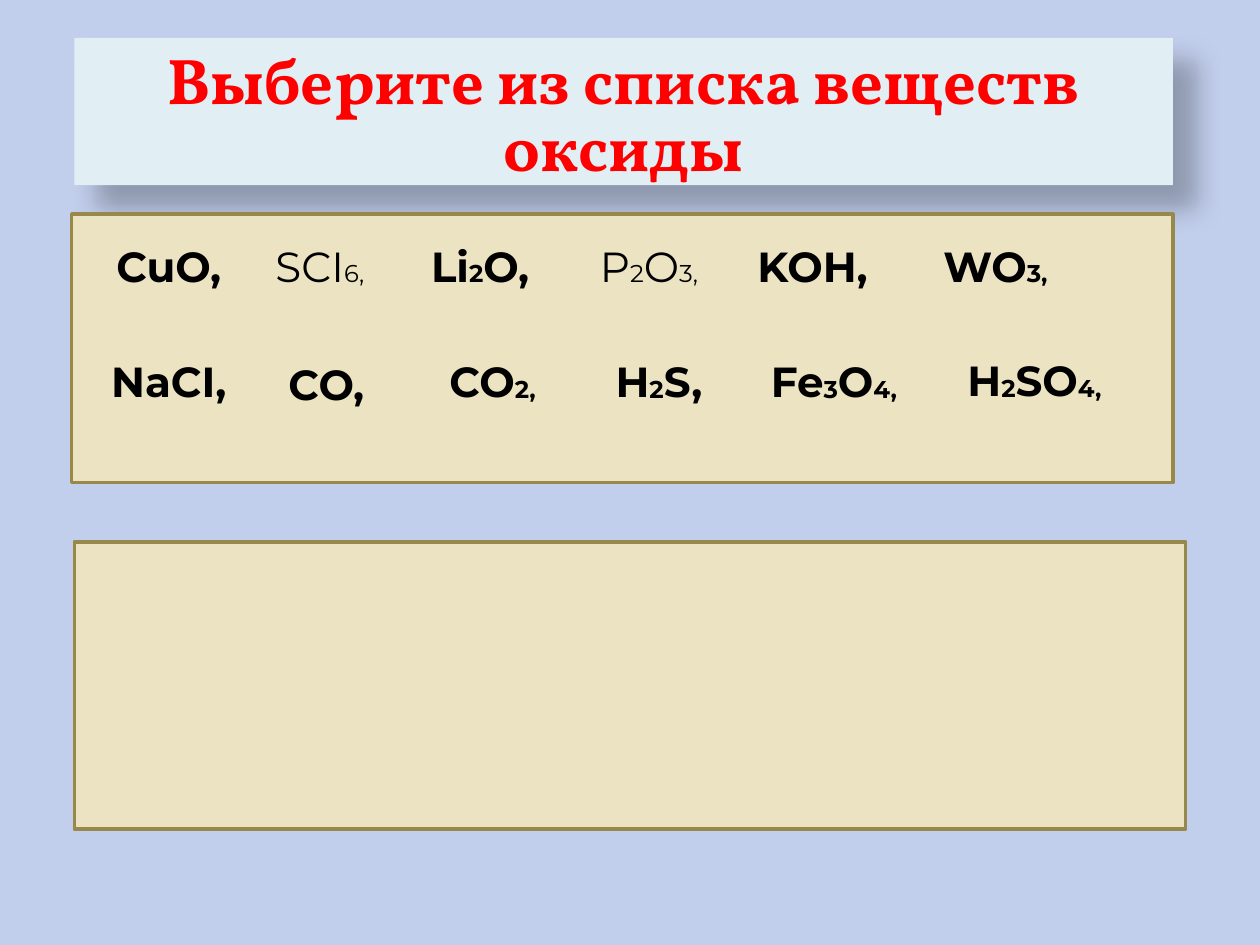
import pptx
import pptx.dml.color
import pptx.enum.shapes
import pptx.enum.text
import pptx.oxml
import pptx.oxml.ns
import pptx.util

Pt = pptx.util.Pt
RGBColor = pptx.dml.color.RGBColor
ALIGN = pptx.enum.text.PP_ALIGN
ANCHOR = pptx.enum.text.MSO_ANCHOR

BACKGROUND = RGBColor(0xC1, 0xCE, 0xEC)
TITLE_FILL = RGBColor(0xE1, 0xEF, 0xF4)
RED = RGBColor(0xFF, 0x00, 0x00)
BLACK = RGBColor(0x00, 0x00, 0x00)
SAND = RGBColor(0xEB, 0xE3, 0xC2)
OLIVE = RGBColor(0x98, 0x89, 0x4B)

# left, top, width, bold, formula; every second piece is a subscript
FORMULAS = [
    (51.1, 131.8, 90.7, True, "CuO,"),
    (141.8, 131.8, 82.1, False, "SCI|6,"),
    (229.7, 131.8, 89.3, True, "Li|2|O,"),
    (326.2, 131.8, 89.3, False, "P|2|O|3,"),
    (422.6, 131.8, 83.5, True, "KOH,"),
    (524.2, 131.8, 89.3, True, "WO|3,"),
    (51.1, 198, 90.7, True, "NaCI,"),
    (150.5, 199.4, 72, True, "CO,"),
    (245.5, 198, 72, True, "CO|2,"),
    (340.6, 198, 72, True, "H|2|S,"),
    (422.6, 198, 108, True, "Fe|3|O|4,"),
    (538.6, 197.3, 105.1, True, "H|2|SO|4,"),
]

prs = pptx.Presentation()
prs.slide_width, prs.slide_height = Pt(720), Pt(540)
s = prs.slides.add_slide(prs.slide_layouts[5])
s.background.fill.solid()
s.background.fill.fore_color.rgb = BACKGROUND


def add_box(left, top, width, height, line):
    sp = s.shapes.add_shape(pptx.enum.shapes.MSO_SHAPE.RECTANGLE,
                            Pt(left), Pt(top), Pt(width), Pt(height))
    sp.shadow.inherit = False
    sp.fill.solid()
    sp.fill.fore_color.rgb = SAND
    sp.line.color.rgb = line
    sp.line.width = Pt(2)
    return sp


# Title with a soft shadow
title = s.shapes.title
title.left, title.top, title.width, title.height = Pt(42.5), Pt(21.6), Pt(627.8), Pt(84.2)
title.fill.solid()
title.fill.fore_color.rgb = TITLE_FILL
title._element.spPr.append(pptx.oxml.parse_xml(
    f'<a:effectLst {pptx.oxml.ns.nsdecls("a")}>'
    f'<a:outerShdw blurRad="{Pt(15)}" dist="{Pt(18)}" dir="2700000" algn="tl" rotWithShape="0">'
    '<a:srgbClr val="000000"><a:alpha val="26000"/></a:srgbClr>'
    '</a:outerShdw></a:effectLst>'))
tf = title.text_frame
tf.word_wrap = True
tf.auto_size = pptx.enum.text.MSO_AUTO_SIZE.NONE
tf.vertical_anchor = ANCHOR.MIDDLE
tf.margin_top, tf.margin_bottom = Pt(7), Pt(0)
p = tf.paragraphs[0]
p.alignment = ALIGN.CENTER
p.line_spacing = 0.87
r = p.add_run()
r.text = "Выберите из списка веществ оксиды"
r.font.name = "Vollkorn"
r.font.size = Pt(36.9)
r.font.bold = True
r.font.color.rgb = RED

# List panel and answer panel
add_box(41, 122.4, 629.3, 153.4, OLIVE)
add_box(42.5, 309.6, 635, 164.2, OLIVE)

# Formula cards
for left, top, width, bold, formula in FORMULAS:
    sp = add_box(left, top, width, 39.6, SAND)
    tf = sp.text_frame
    tf.word_wrap = True
    tf.vertical_anchor = ANCHOR.MIDDLE
    p = tf.paragraphs[0]
    p.alignment = ALIGN.CENTER
    for i, piece in enumerate(formula.split("|")):
        r = p.add_run()
        r.text = piece
        r.font.name = "Montserrat"
        r.font.size = Pt(24)
        r.font.bold = bold
        r.font.color.rgb = BLACK
        if i % 2:
            r.font._element.set("baseline", "-2000")

prs.save("out.pptx")
